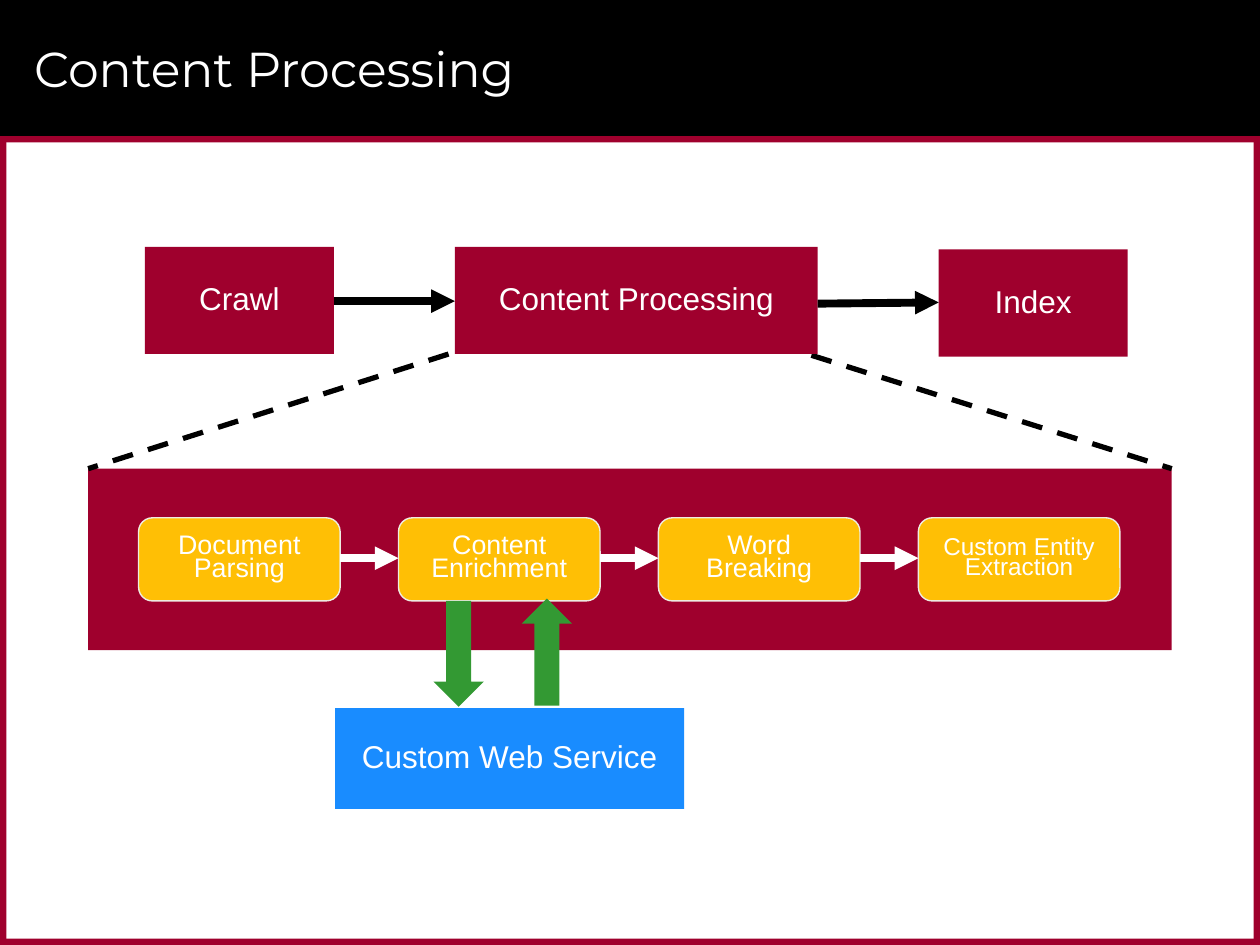
from pptx import Presentation
from pptx.dml.color import RGBColor
from pptx.enum.dml import MSO_LINE
from pptx.enum.shapes import MSO_CONNECTOR, MSO_SHAPE
from pptx.enum.text import MSO_ANCHOR, PP_ALIGN
from pptx.oxml.ns import qn
from pptx.util import Inches, Pt
from lxml.etree import SubElement

# Content
TITLE = "Content Processing"
# Main stages: label, left, top, width
STAGES = [
    ("Crawl", 1.15, 1.96, 1.5),
    ("Content Processing", 3.61, 1.96, 2.88),
    ("Index", 7.45, 1.98, 1.5),
]
# Detail steps: label, type size
STEPS = [
    ("Document Parsing", 15.3),
    ("Content Enrichment", 15.3),
    ("Word Breaking", 15.3),
    ("Custom Entity Extraction", 13.9),
]
SERVICE = "Custom Web Service"
# Service arrows: left, top, height, rotation
SERVICE_ARROWS = [(3.44, 4.77, 0.84, 0), (4.14, 4.75, 0.85, 180)]

THEME = {
    "black": "000000", "white": "FFFFFF", "crimson": "9F002D",
    "amber": "FFBF05", "edge": "EEECE1", "blue": "198CFF", "green": "339933",
    "title_font": "Montserrat", "body_font": "Arial",
    "title_size": 28, "label_size": 18,
}

# Layout in inches
WIDTH, HEIGHT = 10, 7.5
HEADER, FRAME = 1.08, 0.05
STAGE_HEIGHT = 0.85
PANEL = (0.7, 3.72, 8.6, 1.44)
STEP_LEFT, STEP_TOP, STEP_WIDTH, STEP_HEIGHT = 1.1, 4.11, 1.6, 0.66
STEP_PITCH = 2.063


def color(name):
    return RGBColor.from_string(THEME[name])


def add_run(paragraph, text, size, font):
    run = paragraph.add_run()
    run.text = text
    run.font.size = Pt(size)
    run.font.name = THEME[font]
    run.font.color.rgb = color("white")


def add_box(slide, box, fill, kind=MSO_SHAPE.RECTANGLE):
    shape = slide.shapes.add_shape(kind, *[Inches(value) for value in box])
    shape.shadow.inherit = False
    shape.fill.solid()
    shape.fill.fore_color.rgb = color(fill)
    shape.line.fill.background()
    return shape


def add_label(shape, text, size, spacing):
    frame = shape.text_frame
    frame.word_wrap = True
    frame.vertical_anchor = MSO_ANCHOR.MIDDLE
    frame.margin_left = frame.margin_right = Inches(0.15)
    frame.margin_top = frame.margin_bottom = Inches(0.12)
    paragraph = frame.paragraphs[0]
    paragraph.alignment = PP_ALIGN.CENTER
    paragraph.line_spacing = spacing
    add_run(paragraph, text, size, "body_font")


def add_line(slide, start, end, line_color, width, dashed=False):
    connector = slide.shapes.add_connector(
        MSO_CONNECTOR.STRAIGHT, *[Inches(value) for value in (*start, *end)])
    connector.line.color.rgb = color(line_color)
    connector.line.width = Pt(width)
    if dashed:
        connector.line.dash_style = MSO_LINE.DASH
    else:
        SubElement(connector.line._get_or_add_ln(), qn("a:tailEnd"), type="triangle")
    SubElement(connector.element.spPr, qn("a:effectLst"))


def add_header(slide):
    # Header band and frame
    add_box(slide, (0, 0, WIDTH, HEADER), "black")
    for top in (HEADER, HEIGHT - FRAME):
        add_box(slide, (0, top, WIDTH, FRAME), "crimson")
    for left in (0, WIDTH - FRAME):
        add_box(slide, (left, HEADER, FRAME, HEIGHT - HEADER), "crimson")

    # Title, brought in front of the band
    title = slide.shapes.title
    title.left, title.top = Inches(0.17), Inches(0.08)
    title.width, title.height = Inches(9.42), Inches(0.92)
    title.text_frame.vertical_anchor = MSO_ANCHOR.MIDDLE
    paragraph = title.text_frame.paragraphs[0]
    paragraph.alignment = PP_ALIGN.LEFT
    add_run(paragraph, TITLE, THEME["title_size"], "title_font")
    title.element.getparent().append(title.element)


def add_steps(slide):
    # Panel with evenly spaced steps
    add_box(slide, PANEL, "crimson")
    middle = STEP_TOP + STEP_HEIGHT / 2 - 0.01
    for index, (text, size) in enumerate(STEPS):
        left = STEP_LEFT + index * STEP_PITCH
        step = add_box(slide, (left, STEP_TOP, STEP_WIDTH, STEP_HEIGHT), "amber",
                       MSO_SHAPE.ROUNDED_RECTANGLE)
        step.line.color.rgb = color("edge")
        step.line.width = Pt(0.79)
        add_label(step, text, size, 0.7)
        if index:
            previous_right = left - STEP_PITCH + STEP_WIDTH
            add_line(slide, (previous_right, middle), (left, middle), "white", 4.5)


def add_service(slide):
    service = add_box(slide, (2.66, 5.62, 2.77, 0.8), "blue")
    add_label(service, SERVICE, THEME["label_size"], 0.9)
    for left, top, height, rotation in SERVICE_ARROWS:
        arrow = add_box(slide, (left, top, 0.4, height), "green", MSO_SHAPE.DOWN_ARROW)
        arrow.rotation = rotation


def add_stages(slide):
    # Dashed lines opening the middle stage into the panel
    left, top, width, _ = PANEL
    add_line(slide, (3.56, 2.81), (left, top), "black", 3, dashed=True)
    add_line(slide, (6.44, 2.82), (left + width, top), "black", 3, dashed=True)

    for text, left, top, width in STAGES:
        stage = add_box(slide, (left, top, width, STAGE_HEIGHT), "crimson")
        add_label(stage, text, THEME["label_size"], 0.9)
    for source, target, start_y, end_y in ((0, 1, 2.39, 2.39), (1, 2, 2.41, 2.4)):
        _, left, _, width = STAGES[source]
        add_line(slide, (left + width, start_y), (STAGES[target][1], end_y), "black", 4.5)


def main():
    presentation = Presentation()
    presentation.slide_width, presentation.slide_height = Inches(WIDTH), Inches(HEIGHT)
    slide = presentation.slides.add_slide(presentation.slide_layouts[5])
    add_header(slide)
    add_steps(slide)
    add_service(slide)
    add_stages(slide)
    presentation.save("out.pptx")


if __name__ == "__main__":
    main()
